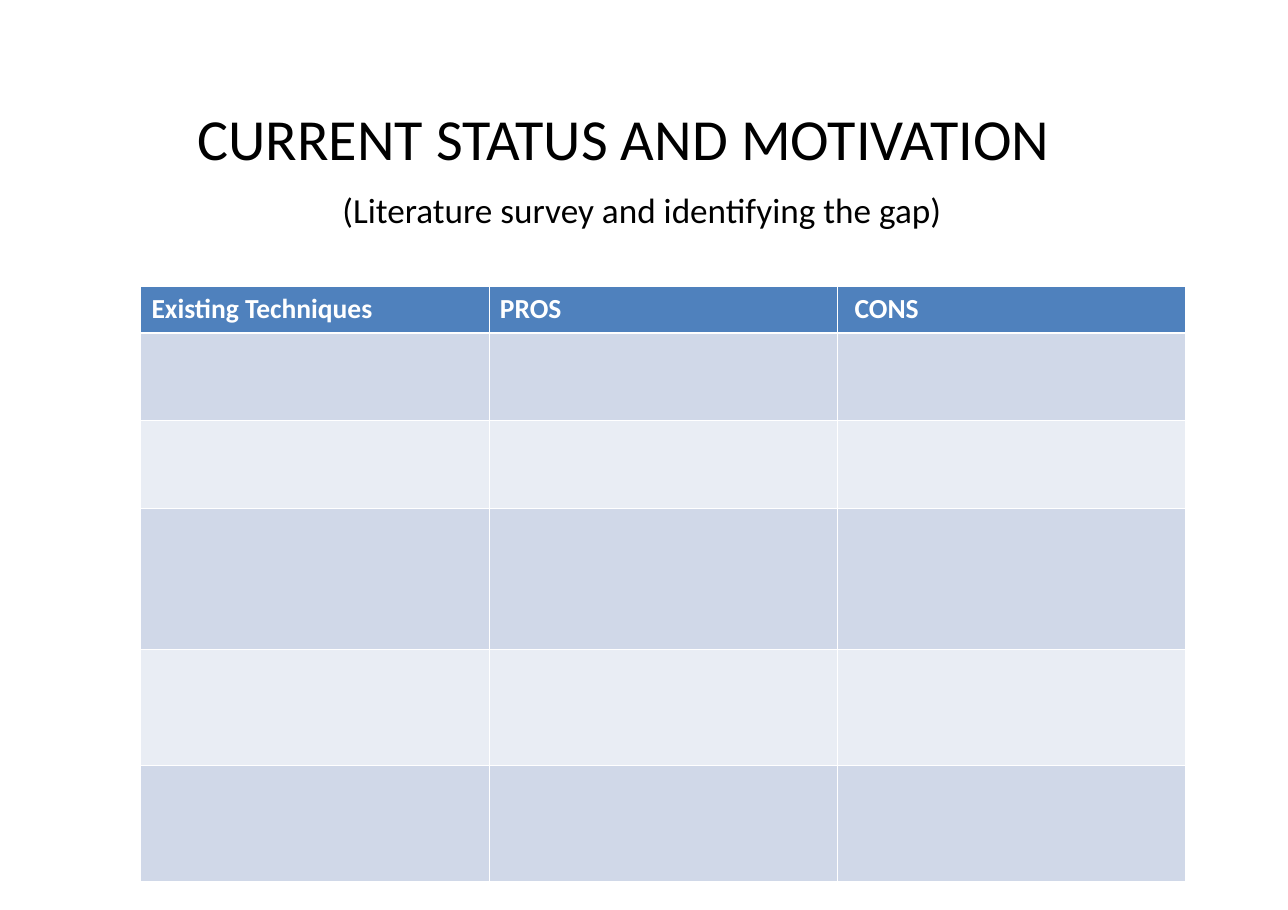
import pptx
import pptx.dml.color
import pptx.enum.text
import pptx.oxml
import pptx.oxml.ns
import pptx.util

Pt = pptx.util.Pt
RGBColor = pptx.dml.color.RGBColor
Align = pptx.enum.text.PP_ALIGN

BLACK = RGBColor(0x00, 0x00, 0x00)
WHITE = RGBColor(0xFF, 0xFF, 0xFF)
HEADER_BLUE = RGBColor(0x4F, 0x81, 0xBD)
BANDS = (RGBColor(0xE9, 0xED, 0xF4), RGBColor(0xD0, 0xD8, 0xE8))
FONT = "Calibri"

# text, size, alignment, space after
HEADING = [
    ("CURRENT STATUS AND MOTIVATION", 38, Align.LEFT, 10.5),
    ("(Literature survey and identifying the gap)", 23, Align.CENTER, 0),
]
COLUMNS = ["Existing Techniques", "PROS", " CONS"]
ROW_HEIGHTS = [30.24, 57.4, 57.4, 92.2, 75.8, 75.8]
COLUMN_WIDTH = 227.7
THIN, THICK = 0.45, 1.47


def format_text(paragraph, size, color, bold=False):
    for span in paragraph.runs:
        span.font.name = FONT
        span.font.size = Pt(size)
        span.font.bold = bold
        span.font.color.rgb = color


def add_heading(page):
    title = page.shapes.title
    title.left, title.top, title.width, title.height = map(Pt, (128.9, 67, 581.8, 66.2))
    frame = title.text_frame
    frame.text = "\n".join(line[0] for line in HEADING)
    frame.margin_left = frame.margin_right = frame.margin_top = frame.margin_bottom = 0
    frame.vertical_anchor = pptx.enum.text.MSO_ANCHOR.TOP
    frame.auto_size = pptx.enum.text.MSO_AUTO_SIZE.NONE
    for paragraph, (_, size, alignment, space_after) in zip(frame.paragraphs, HEADING):
        paragraph.alignment = alignment
        paragraph.space_after = Pt(space_after)
        format_text(paragraph, size, BLACK)


def set_borders(cell, top, bottom):
    """Draw white borders, thin at the sides; call before filling the cell."""
    properties = cell._tc.get_or_add_tcPr()
    for side, width in (("L", THIN), ("R", THIN), ("T", top), ("B", bottom)):
        properties.append(pptx.oxml.parse_xml(
            f'<a:ln{side} {pptx.oxml.ns.nsdecls("a")} w="{int(Pt(width))}">'
            f'<a:solidFill><a:srgbClr val="{WHITE}"/></a:solidFill></a:ln{side}>'))


def add_survey_table(page):
    table = page.shapes.add_table(
        len(ROW_HEIGHTS), len(COLUMNS), Pt(91.8), Pt(187.4),
        Pt(COLUMN_WIDTH * len(COLUMNS)), Pt(sum(ROW_HEIGHTS))).table
    for column in table.columns:
        column.width = Pt(COLUMN_WIDTH)
    for index, height in enumerate(ROW_HEIGHTS):
        table.rows[index].height = Pt(height)
        for cell in table.rows[index].cells:
            set_borders(cell, THICK if index == 1 else THIN, THICK if index == 0 else THIN)
            cell.fill.solid()
            cell.fill.fore_color.rgb = BANDS[index % 2] if index else HEADER_BLUE
    for cell, label in zip(table.rows[0].cells, COLUMNS):
        cell.text_frame.text = label
        format_text(cell.text_frame.paragraphs[0], 18, WHITE, bold=True)


def main():
    deck = pptx.Presentation()
    deck.slide_width, deck.slide_height = Pt(841.68), Pt(594.72)
    page = deck.slides.add_slide(deck.slide_layouts[5])
    page.background.fill.solid()
    page.background.fill.fore_color.rgb = WHITE
    add_heading(page)
    add_survey_table(page)
    deck.save("out.pptx")


if __name__ == "__main__":
    main()
